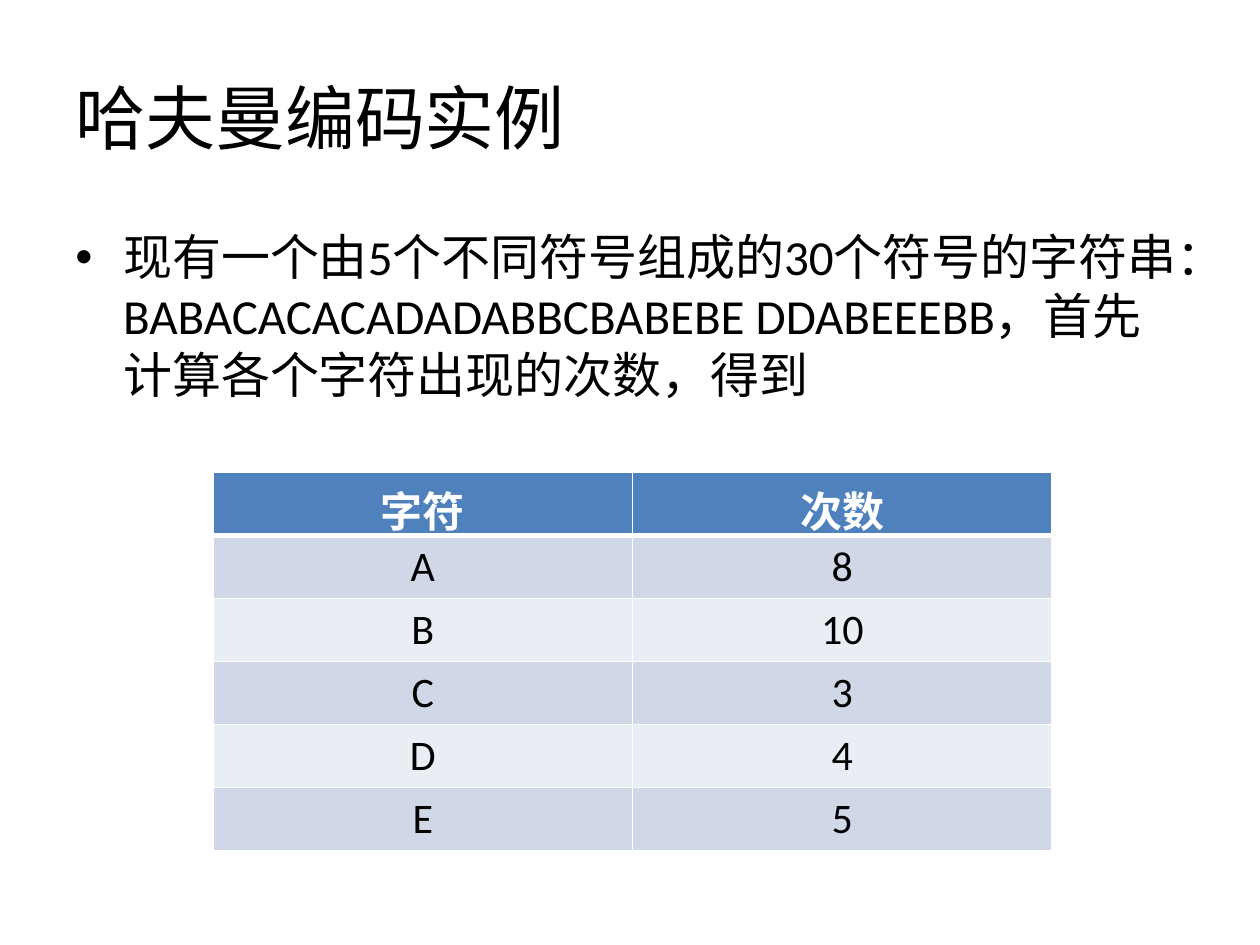
"""Build a slide that counts symbols for a Huffman coding example."""
from lxml.etree import SubElement
from pptx import Presentation
from pptx.dml.color import RGBColor
from pptx.enum.text import MSO_ANCHOR, PP_ALIGN
from pptx.oxml.ns import qn
from pptx.util import Inches, Pt

BLACK = RGBColor(0x00, 0x00, 0x00)
WHITE = RGBColor(0xFF, 0xFF, 0xFF)
HEADER_BLUE = RGBColor(0x4F, 0x81, 0xBD)
BANDS = (RGBColor(0xE9, 0xED, 0xF4), RGBColor(0xD0, 0xD8, 0xE8))
FONT = "Calibri"

TITLE = "哈夫曼编码实例"
BODY = (
    "现有一个由5个不同符号组成的30个符号的字符串："
    "BABACACACADADABBCBABEBE DDABEEEBB，首先计算各个字符出现的次数，得到"
)
COUNTS = [("字符", "次数"), ("A", "8"), ("B", "10"), ("C", "3"), ("D", "4"), ("E", "5")]


def style_font(paragraph, size, color=BLACK, bold=False):
    """Set the font of a whole paragraph."""
    font = paragraph.font
    font.name = FONT
    font.size = Pt(size)
    font.bold = bold
    font.color.rgb = color


def add_text(page, text, top, height, size, anchor):
    """Add a full-width text box and return its paragraph."""
    box = page.shapes.add_textbox(Inches(0.5), Inches(top), Inches(9), Inches(height))
    frame = box.text_frame
    frame.word_wrap = True
    frame.vertical_anchor = anchor
    paragraph = frame.paragraphs[0]
    paragraph.text = text
    style_font(paragraph, size)
    return paragraph


def add_bullet(paragraph):
    """Give a paragraph a round bullet with a hanging indent."""
    properties = paragraph._p.get_or_add_pPr()
    properties.set("marL", str(Inches(0.38)))
    properties.set("indent", str(-Inches(0.38)))
    bullet_font = properties.makeelement(qn("a:buFont"), {"typeface": "Arial"})
    bullet = properties.makeelement(qn("a:buChar"), {"char": "•"})
    properties.insert(0, bullet_font)
    properties.insert(1, bullet)


def set_borders(cell, bottom_width, top_width):
    """Draw white lines around a cell."""
    properties = cell._tc.get_or_add_tcPr()
    widths = {"lnL": 1, "lnR": 1, "lnT": top_width, "lnB": bottom_width}
    for side, width in widths.items():
        line = SubElement(properties, qn(f"a:{side}"), w=str(Pt(width)))
        fill = SubElement(line, qn("a:solidFill"))
        SubElement(fill, qn("a:srgbClr"), val=str(WHITE))


def add_count_table(page):
    """Add the banded table of symbol counts."""
    row_height = 0.41
    frame = page.shapes.add_table(
        len(COUNTS), 2, Inches(1.69), Inches(3.75),
        Inches(6.66), Inches(row_height * len(COUNTS)),
    )
    for row, values in enumerate(COUNTS):
        header = row == 0
        for column, value in enumerate(values):
            cell = frame.table.cell(row, column)
            set_borders(cell, 3 if header else 1, 3 if row == 1 else 1)
            cell.fill.solid()
            cell.fill.fore_color.rgb = HEADER_BLUE if header else BANDS[row % 2]
            paragraph = cell.text_frame.paragraphs[0]
            paragraph.text = value
            paragraph.alignment = PP_ALIGN.CENTER
            style_font(paragraph, 24, WHITE if header else BLACK, header)


def main():
    """Build and save the deck."""
    deck = Presentation()
    deck.slide_width = Inches(10)
    deck.slide_height = Inches(7.5)
    page = deck.slides.add_slide(deck.slide_layouts[6])
    add_text(page, TITLE, 0.3, 1.25, 40, MSO_ANCHOR.MIDDLE)
    add_bullet(add_text(page, BODY, 1.75, 4.95, 28, MSO_ANCHOR.TOP))
    add_count_table(page)
    deck.save("out.pptx")


if __name__ == "__main__":
    main()
